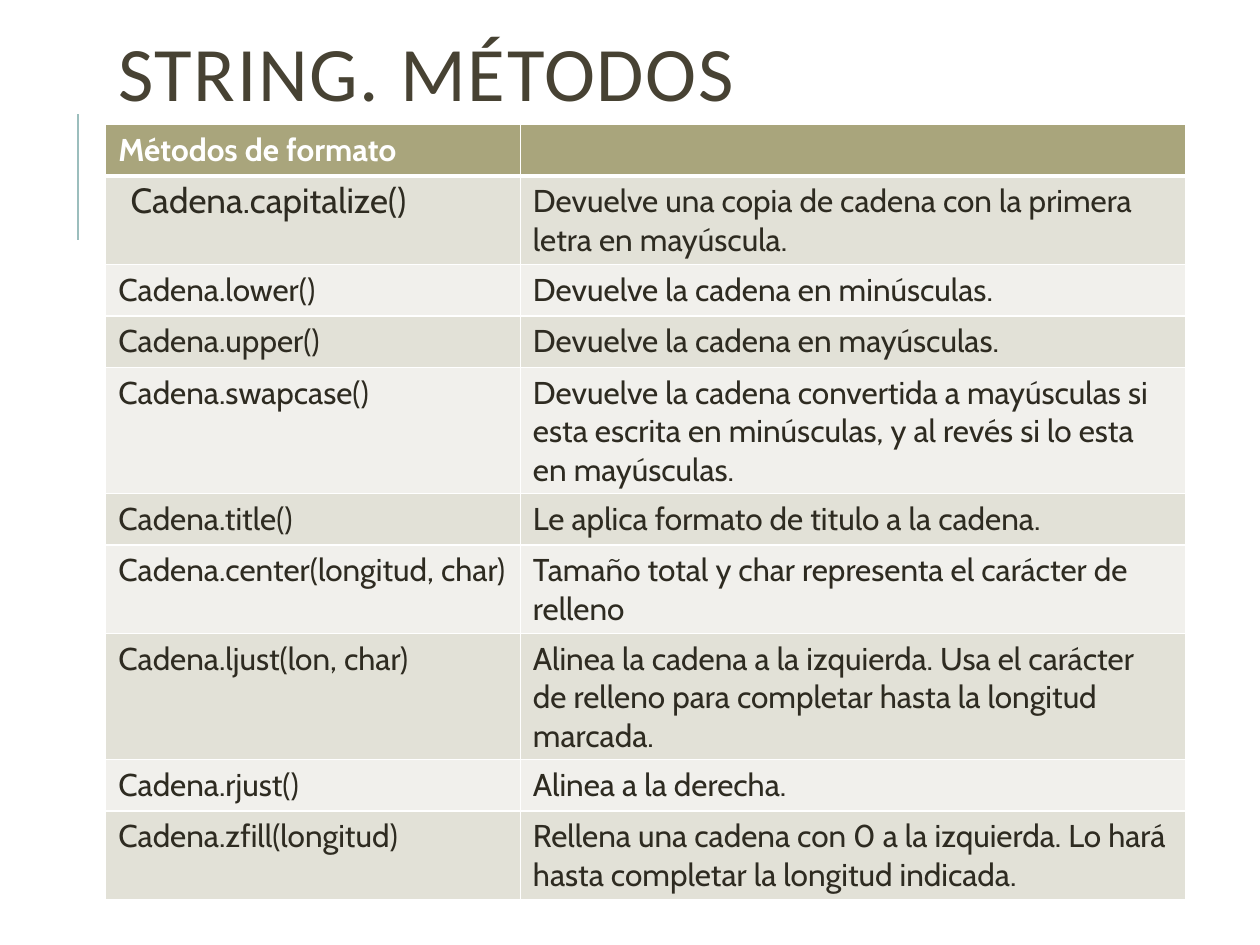
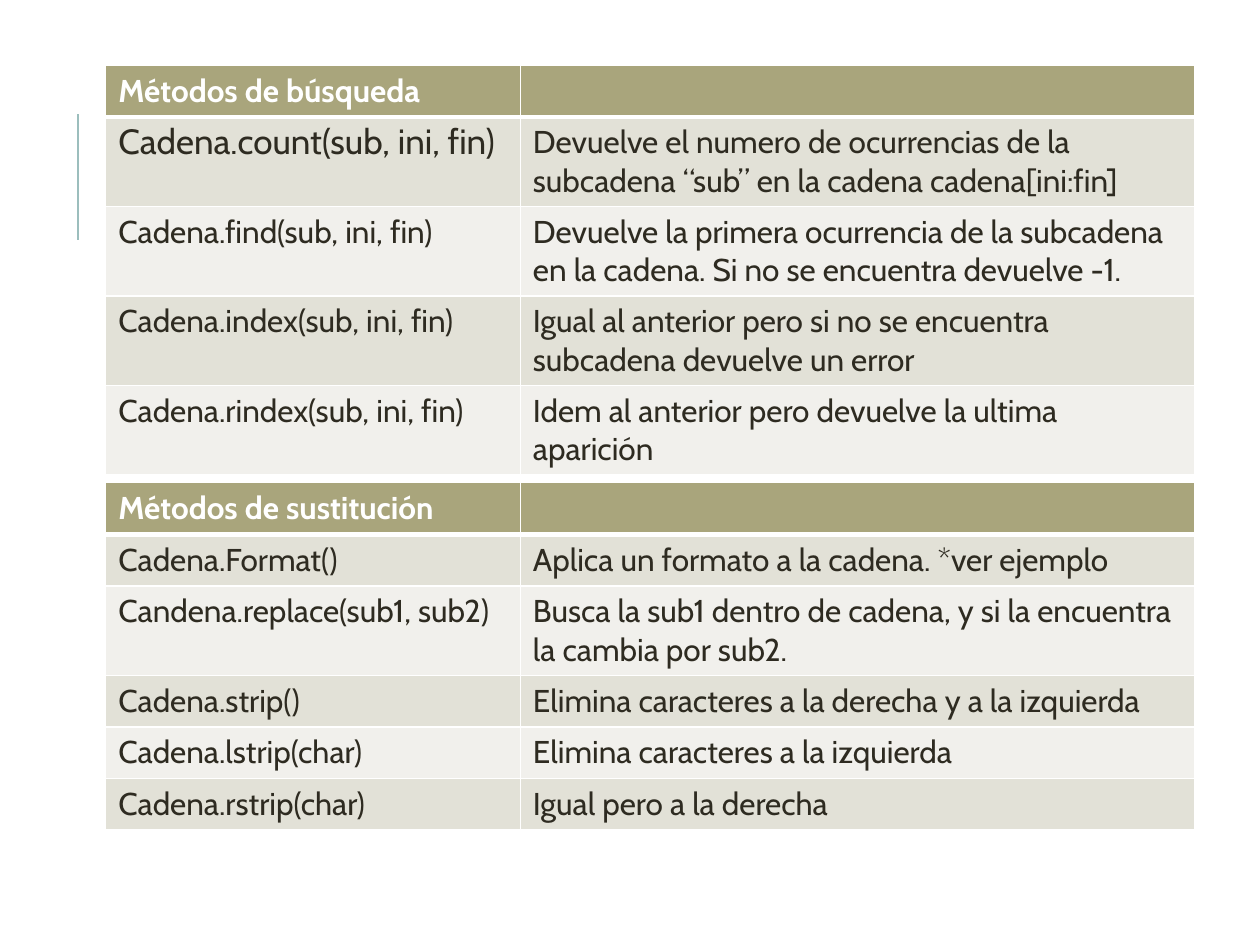
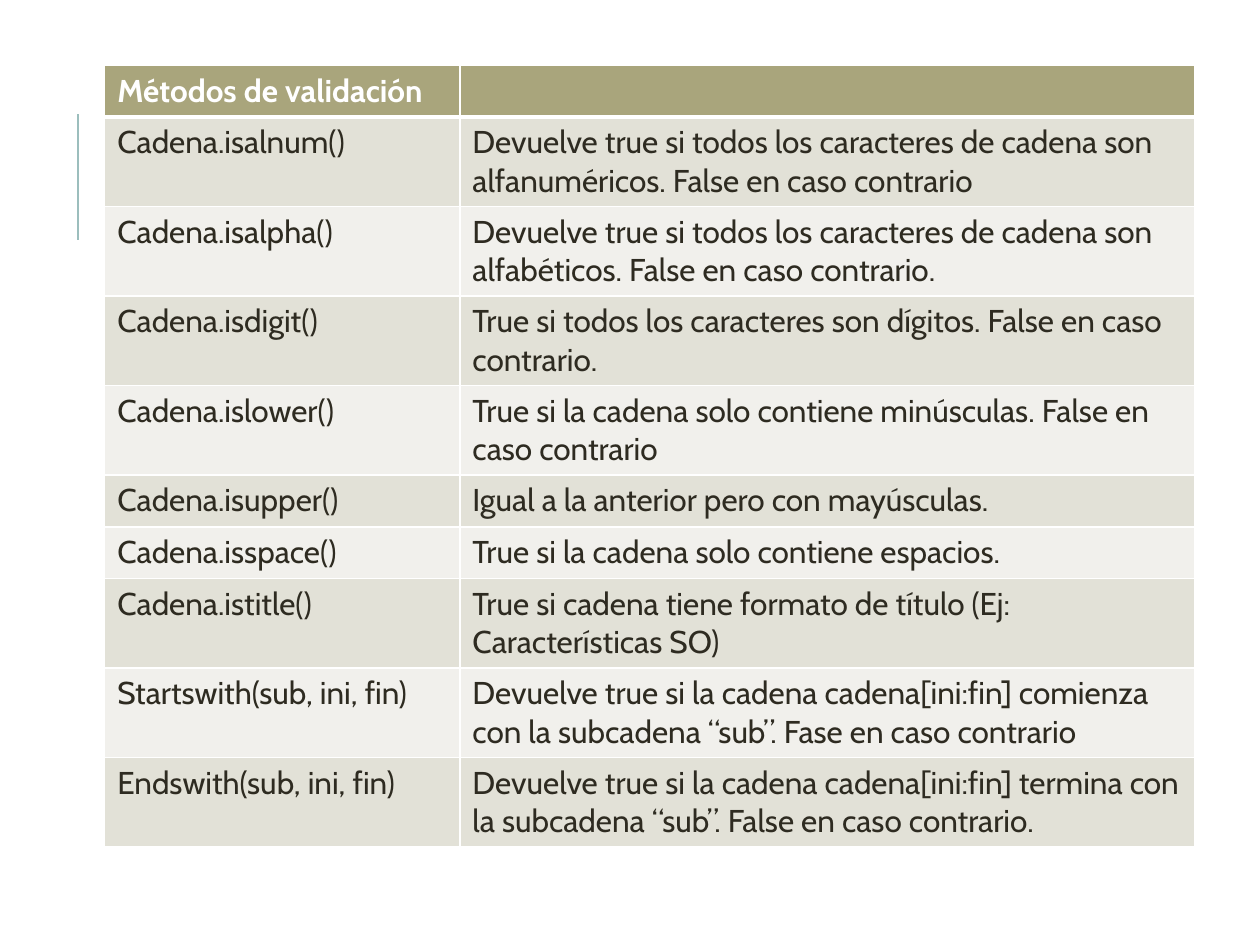
from dataclasses import dataclass

from lxml import etree
from pptx import Presentation
from pptx.dml.color import RGBColor
from pptx.enum.shapes import MSO_CONNECTOR
from pptx.enum.text import MSO_ANCHOR
from pptx.oxml.ns import qn
from pptx.util import Cm, Pt

STRAIGHT = MSO_CONNECTOR.STRAIGHT
MIDDLE = MSO_ANCHOR.MIDDLE
BLANK = 6


@dataclass(frozen=True)
class Theme:
    """Colours, fonts and sizes shared by the slides."""
    white: str = "FFFFFF"
    rule: str = "9CBEBD"
    title: str = "474233"
    ink: str = "2E2B21"
    head: str = "A9A57C"
    bands: tuple = ("E2E1D7", "F1F0EC")
    head_font: str = "Calibri"
    body_font: str = "Cabin"
    title_size: int = 44
    lead_size: int = 20
    body_size: int = 18
    thin: int = 1
    thick: int = 3
    row: float = 1.04


THEME = Theme()

TITLE = {"name": THEME.head_font, "size": Pt(THEME.title_size), "bold": False}
HEAD = {"name": THEME.body_font, "size": Pt(THEME.body_size), "bold": True}
BODY = HEAD | {"bold": False}
LEAD = BODY | {"size": Pt(THEME.lead_size)}
LEAD_PARA = {"line_spacing": 0.9, "space_before": Pt(12), "space_after": Pt(2)}

FORMAT = [
    ("Cadena.capitalize()", "Devuelve una copia de cadena con la primera letra en mayúscula."),
    ("Cadena.lower()", "Devuelve la cadena en minúsculas."),
    ("Cadena.upper()", "Devuelve la cadena en mayúsculas."),
    ("Cadena.swapcase()", "Devuelve la cadena convertida a mayúsculas si esta escrita en "
                          "minúsculas, y al revés si lo esta en mayúsculas."),
    ("Cadena.title()", "Le aplica formato de titulo a la cadena."),
    ("Cadena.center(longitud, char)", "Tamaño total y char representa el carácter de relleno"),
    ("Cadena.ljust(lon, char)", "Alinea la cadena a la izquierda. Usa el carácter de relleno "
                                "para completar hasta la longitud marcada."),
    ("Cadena.rjust()", "Alinea a la derecha."),
    ("Cadena.zfill(longitud)", "Rellena una cadena con 0 a la izquierda. Lo hará hasta "
                               "completar la longitud indicada."),
]
SEARCH = [
    ("Cadena.count(sub, ini, fin)", "Devuelve el numero de ocurrencias de la subcadena “sub” "
                                    "en la cadena cadena[ini:fin]"),
    ("Cadena.find(sub, ini, fin)", "Devuelve la primera ocurrencia de la subcadena en la "
                                   "cadena. Si no se encuentra devuelve -1."),
    ("Cadena.index(sub, ini, fin)", "Igual al anterior pero si no se encuentra subcadena "
                                    "devuelve un error"),
    ("Cadena.rindex(sub, ini, fin)", "Idem al anterior pero devuelve la ultima aparición"),
]
SWAP = [
    ("Cadena.Format()", "Aplica un formato a la cadena. *ver ejemplo"),
    ("Candena.replace(sub1, sub2)", "Busca la sub1 dentro de cadena, y si la encuentra la "
                                    "cambia por sub2."),
    ("Cadena.strip()", "Elimina caracteres a la derecha y a la izquierda"),
    ("Cadena.lstrip(char)", "Elimina caracteres a la izquierda"),
    ("Cadena.rstrip(char)", "Igual pero a la derecha"),
]
CHECK = [
    ("Cadena.isalnum()", "Devuelve true si todos los caracteres de cadena son "
                         "alfanuméricos. False en caso contrario"),
    ("Cadena.isalpha()", "Devuelve true si todos los caracteres de cadena son "
                         "alfabéticos. False en caso contrario."),
    ("Cadena.isdigit()", "True si todos los caracteres son dígitos. False en caso contrario."),
    ("Cadena.islower()", "True si la cadena solo contiene minúsculas. False en caso contrario"),
    ("Cadena.isupper()", "Igual a la anterior pero con mayúsculas."),
    ("Cadena.isspace()", "True si la cadena solo contiene espacios."),
    ("Cadena.istitle()", "True si cadena tiene formato de título (Ej: Características SO)"),
    ("Startswith(sub, ini, fin)", "Devuelve true si la cadena cadena[ini:fin] comienza con la "
                                  "subcadena “sub”. Fase en caso contrario"),
    ("Endswith(sub, ini, fin)", "Devuelve true si la cadena cadena[ini:fin] termina con la "
                                "subcadena “sub”. False en caso contrario."),
]


def apply(target, values):
    """Set each named value on the target."""
    for name, value in values.items():
        setattr(target, name, value)


def write(para, text, font, color):
    """Add one styled run to a paragraph and return it."""
    run = para.add_run()
    run.text = text
    apply(run.font, font)
    run.font.color.rgb = RGBColor.from_string(color)
    return run


def add_page(deck):
    """Add a blank slide with the thin rule at its left."""
    page = deck.slides.add_slide(deck.slide_layouts[BLANK])
    rule = page.shapes.add_connector(STRAIGHT, Cm(1.57), Cm(4.83), Cm(1.57), Cm(2.29))
    rule.line.color.rgb = RGBColor.from_string(THEME.rule)
    rule.line.width = Pt(1.5)
    etree.SubElement(rule.line._get_or_add_ln().getparent(), qn("a:effectLst"))
    return page


def add_title(page, text):
    """Add the spaced slide title."""
    frame = page.shapes.add_textbox(Cm(2.13), Cm(-0.48), Cm(20.24), Cm(4.17)).text_frame
    apply(frame, {"word_wrap": True, "vertical_anchor": MIDDLE})
    para = frame.paragraphs[0]
    para.line_spacing = 0.8
    run = write(para, text, TITLE, THEME.title)
    run.font._element.set("spc", "100")


def edge(cell, widths):
    """Draw white cell borders; widths maps a side to points."""
    props = cell._tc.get_or_add_tcPr()
    for side in "LRTB":
        line = etree.SubElement(props, qn(f"a:ln{side}"), w=str(Pt(widths.get(side, THEME.thin))))
        fill = etree.SubElement(line, qn("a:solidFill"))
        etree.SubElement(fill, qn("a:srgbClr"), val=THEME.white)


def paint(cell, row):
    """Give a cell the borders and fill that its row calls for."""
    edge(cell, {0: {"B": THEME.thick}, 1: {"T": THEME.thick}}.get(row, {}))
    cell.fill.solid()
    color = THEME.bands[(row - 1) % 2] if row else THEME.head
    cell.fill.fore_color.rgb = RGBColor.from_string(color)


def add_grid(page, spot, widths, head, items):
    """Add a two-column table of methods and return it."""
    rows = [(head, "")] + items
    left, top = spot
    grid = page.shapes.add_table(len(rows), 2, Cm(left), Cm(top), Cm(sum(widths)),
                                 Cm(THEME.row * len(rows))).table
    grid.horz_banding = False
    for column, width in zip(grid.columns, widths):
        column.width = Cm(width)
    for i, texts in enumerate(rows):
        grid.rows[i].height = Cm(THEME.row)
        font, color = (BODY, THEME.ink) if i else (HEAD, THEME.white)
        for cell, text in zip(grid.rows[i].cells, texts):
            paint(cell, i)
            if text:
                write(cell.text_frame.paragraphs[0], text, font, color)
    return grid


def stress(grid, inset=0):
    """Set the first method of a table larger, with an optional inset."""
    para = grid.cell(1, 0).text_frame.paragraphs[0]
    apply(para, LEAD_PARA)
    apply(para.runs[0].font, LEAD)
    if inset:
        para._p.get_or_add_pPr().set("marL", str(Cm(inset)))


def main():
    """Build the three slides and save them."""
    deck = Presentation()
    apply(deck, {"slide_width": Cm(25.4), "slide_height": Cm(19.05)})

    page = add_page(deck)
    add_title(page, "STRING. MÉTODOS")
    stress(add_grid(page, (2.13, 2.51), (8.36, 13.41), "Métodos de formato", FORMAT), 0.25)

    page = add_page(deck)
    wide = (8.36, 13.6)
    stress(add_grid(page, (2.13, 1.32), wide, "Métodos de búsqueda", SEARCH))
    add_grid(page, (2.13, 9.73), wide, "Métodos de sustitución", SWAP)

    page = add_page(deck)
    add_grid(page, (2.11, 1.32), (7.16, 14.81), "Métodos de validación", CHECK)

    deck.save("out.pptx")


main()
